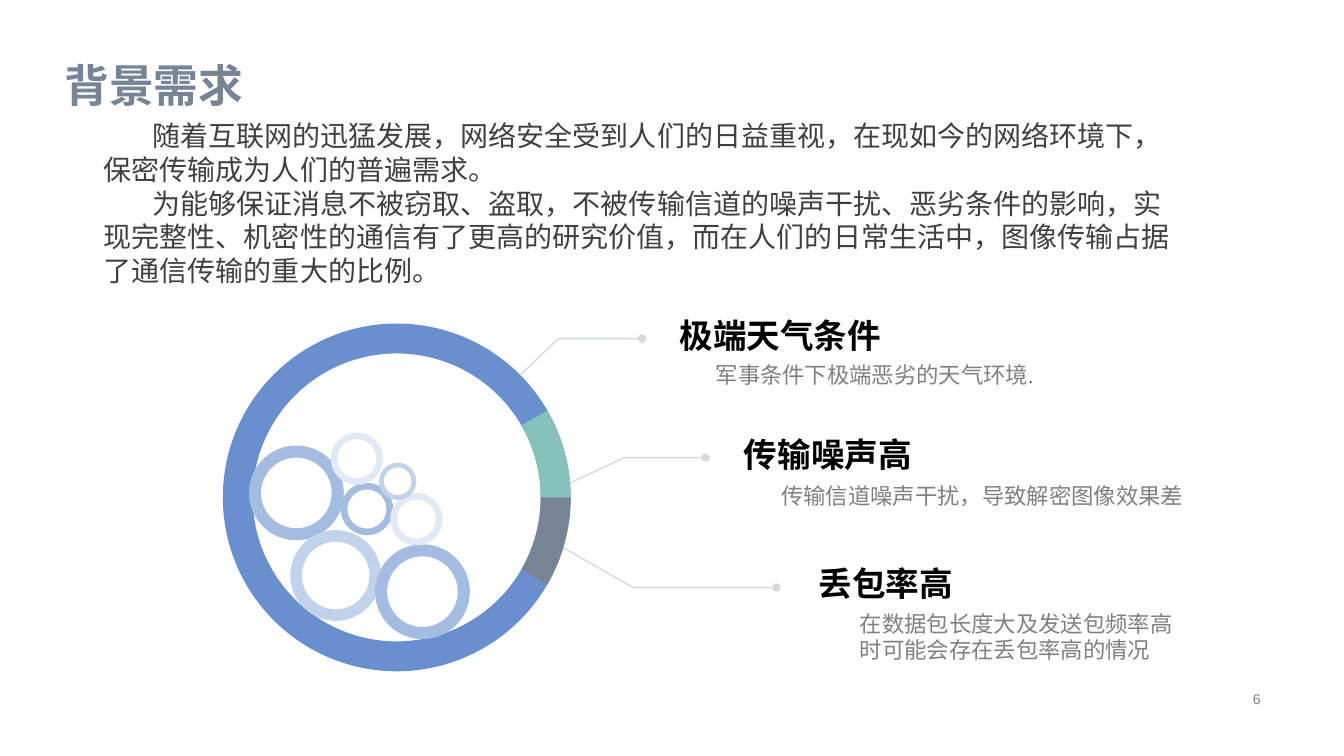
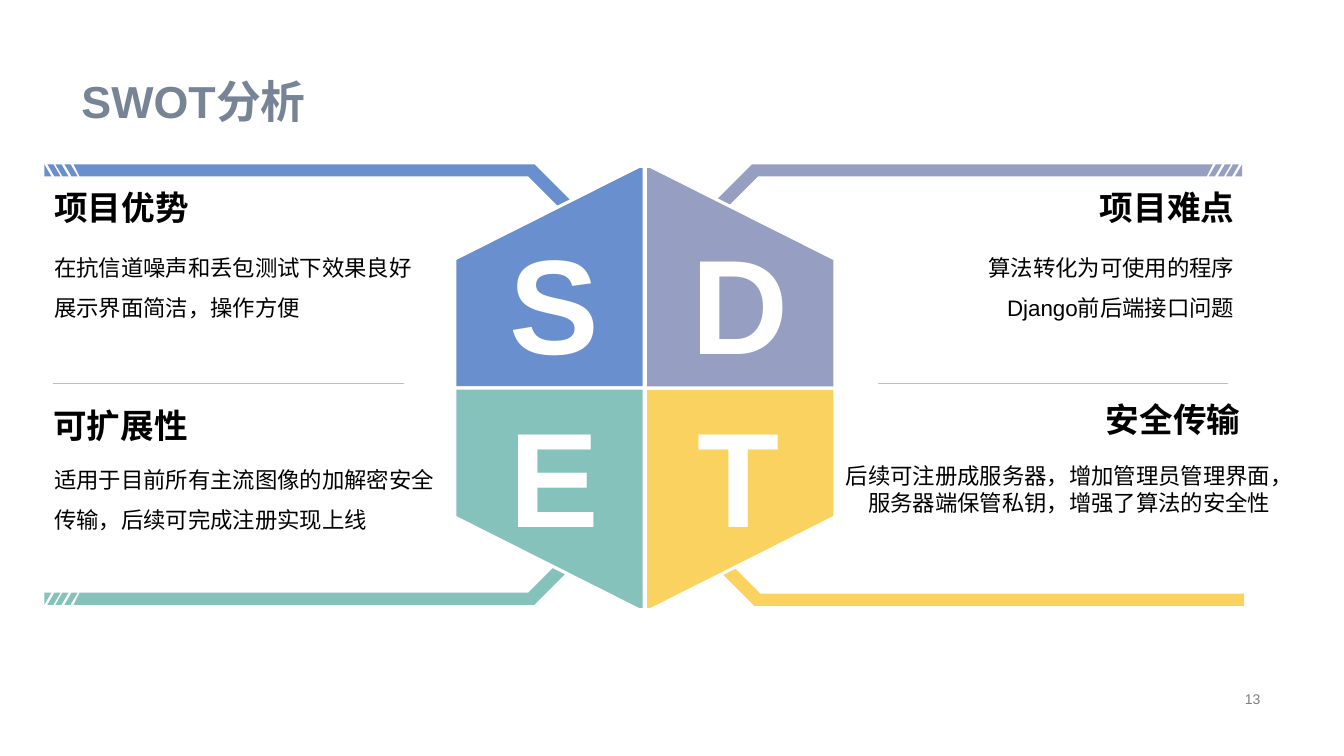
import pptx
import pptx.util
import pptx.dml.color
import pptx.enum.lang
import pptx.enum.shapes
import pptx.enum.text
import pptx.oxml.ns
import lxml.etree

SCALE = 9144
SHAPES = pptx.enum.shapes.MSO_SHAPE
ANCHORS = pptx.enum.text.MSO_ANCHOR
ALIGNS = pptx.enum.text.PP_ALIGN
COLORS = {
    "slate": "778495",
    "blue": "698FCE",
    "teal": "85C2BC",
    "violet": "969EC2",
    "yellow": "FAD25F",
    "blue_mid": "A5BCE2",
    "blue_soft": "C3D2EB",
    "blue_pale": "E1E9F5",
    "leader": "D1DADD",
    "rule": "BFBFBF",
    "black": "000000",
    "dark": "404040",
    "gray": "808080",
    "white": "FFFFFF",
}


class Painter:
    """Holds the deck style and draws elements on the current slide."""

    font = "Arial"

    def __init__(self):
        self.deck = pptx.Presentation()
        self.deck.slide_width = self.emu(1333)
        self.deck.slide_height = self.emu(750)
        self.page = None

    def emu(self, px):
        return pptx.util.Emu(px * SCALE)

    def color(self, name):
        return pptx.dml.color.RGBColor.from_string(COLORS[name])

    def child(self, parent, tag, **attributes):
        return lxml.etree.SubElement(parent, pptx.oxml.ns.qn(tag), attributes)

    def new_page(self, title, number, left, top):
        self.page = self.deck.slides.add_slide(self.deck.slide_layouts[6])
        self.text((left, top, 1187, 112), title, 32, "slate", bold=True,
                  anchor=ANCHORS.BOTTOM, spacing=0.9)
        self.text((942, 682, 318, 23), number, 10, "gray",
                  anchor=ANCHORS.MIDDLE, align=ALIGNS.RIGHT)

    def style(self, span, size, color, bold=False):
        span.font.size = pptx.util.Pt(size)
        span.font.bold = bold
        span.font.name = self.font
        span.font.color.rgb = self.color(color)
        span.font.language_id = pptx.enum.lang.MSO_LANGUAGE_ID.SIMPLIFIED_CHINESE
        self.child(span.font._element, "a:ea", typeface=self.font)

    def text(self, place, words, size, color, bold=False, anchor=ANCHORS.TOP,
             align=ALIGNS.LEFT, spacing=1.0, indent=0):
        box = self.page.shapes.add_textbox(*map(self.emu, place))
        frame = box.text_frame
        frame.word_wrap = True
        frame.vertical_anchor = anchor
        frame.text = words
        for para in frame.paragraphs:
            para.alignment = align
            para.line_spacing = spacing
            if indent:
                para._p.get_or_add_pPr().set("indent", str(self.emu(indent)))
            for span in para.runs:
                self.style(span, size, color, bold)
        return box

    def heading(self, place, words, anchor, align=ALIGNS.LEFT):
        self.text(place, words, 24, "black", bold=True, anchor=anchor, align=align)

    def preset(self, kind, place, fill, adjustments):
        shape = self.page.shapes.add_shape(kind, *map(self.emu, place))
        shape.shadow.inherit = False
        shape.fill.solid()
        shape.fill.fore_color.rgb = self.color(fill)
        shape.line.fill.background()
        for index, value in enumerate(adjustments):
            shape.adjustments[index] = value

    def outline(self, contours, fill=None, line=None, width=1.0):
        builder = self.page.shapes.build_freeform(*contours[0][0], scale=SCALE)
        for index, points in enumerate(contours):
            if index:
                builder.move_to(*points[0])
            builder.add_line_segments(points[1:], close=fill is not None)
        shape = builder.convert_to_shape()
        shape.shadow.inherit = False
        if fill:
            shape.fill.solid()
            shape.fill.fore_color.rgb = self.color(fill)
        else:
            shape.fill.background()
        if line:
            shape.line.color.rgb = self.color(line)
            shape.line.width = pptx.util.Pt(width)
        else:
            shape.line.fill.background()
        return shape

    def leader(self, points):
        shape = self.outline([points], line="leader")
        self.child(shape.line._get_or_add_ln(), "a:tailEnd", type="oval")

    def rule(self, left, right, top):
        line = self.page.shapes.add_connector(
            pptx.enum.shapes.MSO_CONNECTOR.STRAIGHT,
            *map(self.emu, (left, top, right, top)))
        line.line.color.rgb = self.color("rule")
        line.line.width = pptx.util.Pt(0.25)
        self.child(line._element.spPr, "a:effectLst")

    def mirrored(self, contours, origin, direction):
        return [[(origin[0] + direction[0] * x, origin[1] + direction[1] * y)
                 for x, y in points] for points in contours]

    def band(self, origin, direction, fill, striped=True):
        start, slant = (29, 35) if striped else (0, 0)
        contours = [[(start, 0), (486, 0), (596, 110), (596, 220),
                     (585, 220), (585, 117), (480, 12), (slant, 12)]]
        if striped:
            contours += [[(x, 0), (x + 6, 0), (x + 13, 12), (x + 7, 12)]
                         for x in (20, 11, 3)]
            contours.append([(0, 0), (7, 12), (0, 12)])
        self.outline(self.mirrored(contours, origin, direction), fill)

    def quarter(self, origin, direction, fill):
        contour = [(0, 0), (188, 0), (188, 128), (5, 220), (0, 220)]
        self.outline(self.mirrored([contour], origin, direction),
                     fill, "white", 2.25)


def draw_background(painter):
    painter.new_page("背景需求", "6", 54, 4)
    for points in (
        [(558, 543), (628, 583), (770, 583)],
        [(516, 372), (554, 336), (637, 336)],
        [(564, 480), (619, 454), (700, 454)],
    ):
        painter.leader(points)

    ring = (221, 321, 345, 345)
    painter.preset(SHAPES.DONUT, ring, "blue", [0.086])
    for start, end, fill in ((0, 30, "slate"), (330, 0, "teal")):
        painter.preset(SHAPES.BLOCK_ARC, ring, fill,
                       [start * 0.6, end * 0.6, 0.086])
    for left, top, size, fill in (
        (247, 442, 94, "blue_mid"),
        (288, 526, 90, "blue_soft"),
        (372, 540, 94, "blue_mid"),
        (338, 479, 52, "blue_mid"),
        (387, 489, 52, "blue_pale"),
        (376, 459, 37, "blue_soft"),
        (328, 429, 52, "blue_pale"),
    ):
        painter.preset(SHAPES.DONUT, (left, top, size, size), fill, [0.127])

    for left, top, words in (
        (664, 317, "极端天气条件"),
        (728, 435, "传输噪声高"),
        (802, 563, "丢包率高"),
    ):
        painter.heading((left, top, 428, 40), words, ANCHORS.BOTTOM)
    weather = painter.text((700, 340, 395, 47), "军事条件下极端恶劣的天气环境",
                           16, "gray", spacing=1.5)
    stop = weather.text_frame.paragraphs[0].add_run()
    stop.text = "."
    painter.style(stop, 11, "black")
    painter.text((765, 460, 428, 67), "传输信道噪声干扰，导致解密图像效果差",
                 16, "gray", spacing=1.5)
    painter.text((843, 600, 345, 64),
                 "在数据包长度大及发送包频率高时可能会存在丢包率高的情况", 16, "gray")
    painter.text(
        (93, 113, 1078, 180),
        "随着互联网的迅猛发展，网络安全受到人们的日益重视，在现如今的网络环境下，"
        "保密传输成为人们的普遍需求。\n"
        "为能够保证消息不被窃取、盗取，不被传输信道的噪声干扰、恶劣条件的影响，"
        "实现完整性、机密性的通信有了更高的研究价值，而在人们的日常生活中，"
        "图像传输占据了通信传输的重大的比例。",
        20, "dark", indent=48)


def draw_swot(painter):
    painter.new_page("SWOT分析", "13", 71, 20)
    painter.band((44, 600), (1, -1), "teal")
    painter.band((1232, 163), (-1, 1), "violet")
    painter.band((1234, 601), (-1, -1), "yellow", striped=False)
    painter.band((44, 163), (1, 1), "blue")

    for origin, direction, fill, letter, place in (
        ((639, 385), (-1, -1), "blue", "S", (451, 213, 198, 193)),
        ((639, 385), (-1, 1), "teal", "E", (451, 385, 198, 193)),
        ((640, 385), (1, 1), "yellow", "T", (642, 385, 181, 193)),
        ((640, 385), (1, -1), "violet", "D", (660, 213, 148, 193)),
    ):
        painter.quarter(origin, direction, fill)
        painter.text(place, letter, 96, "white", bold=True, align=ALIGNS.CENTER)

    for left, top, words, align in (
        (44, 177, "项目优势", ALIGNS.LEFT),
        (43, 393, "可扩展性", ALIGNS.LEFT),
        (829, 177, "项目难点", ALIGNS.RIGHT),
        (835, 387, "安全传输", ALIGNS.RIGHT),
    ):
        painter.heading((left, top, 405, 57), words, ANCHORS.MIDDLE, align)
    for place, words, align, spacing in (
        ((44, 234, 405, 100),
         "在抗信道噪声和丢包测试下效果良好\n展示界面简洁，操作方便", ALIGNS.LEFT, 1.5),
        ((44, 444, 405, 100),
         "适用于目前所有主流图像的加解密安全传输，后续可完成注册实现上线",
         ALIGNS.LEFT, 1.5),
        ((829, 234, 405, 100),
         "算法转化为可使用的程序\nDjango前后端接口问题", ALIGNS.RIGHT, 1.5),
        ((819, 454, 451, 94),
         "后续可注册成服务器，增加管理员管理界面，服务器端保管私钥，增强了算法的安全性",
         ALIGNS.RIGHT, 1.0),
    ):
        painter.text(place, words, 16, "black", align=align, spacing=spacing)
    painter.rule(53, 401, 380)
    painter.rule(871, 1218, 380)


def main():
    painter = Painter()
    draw_background(painter)
    draw_swot(painter)
    painter.deck.save("out.pptx")


if __name__ == "__main__":
    main()
